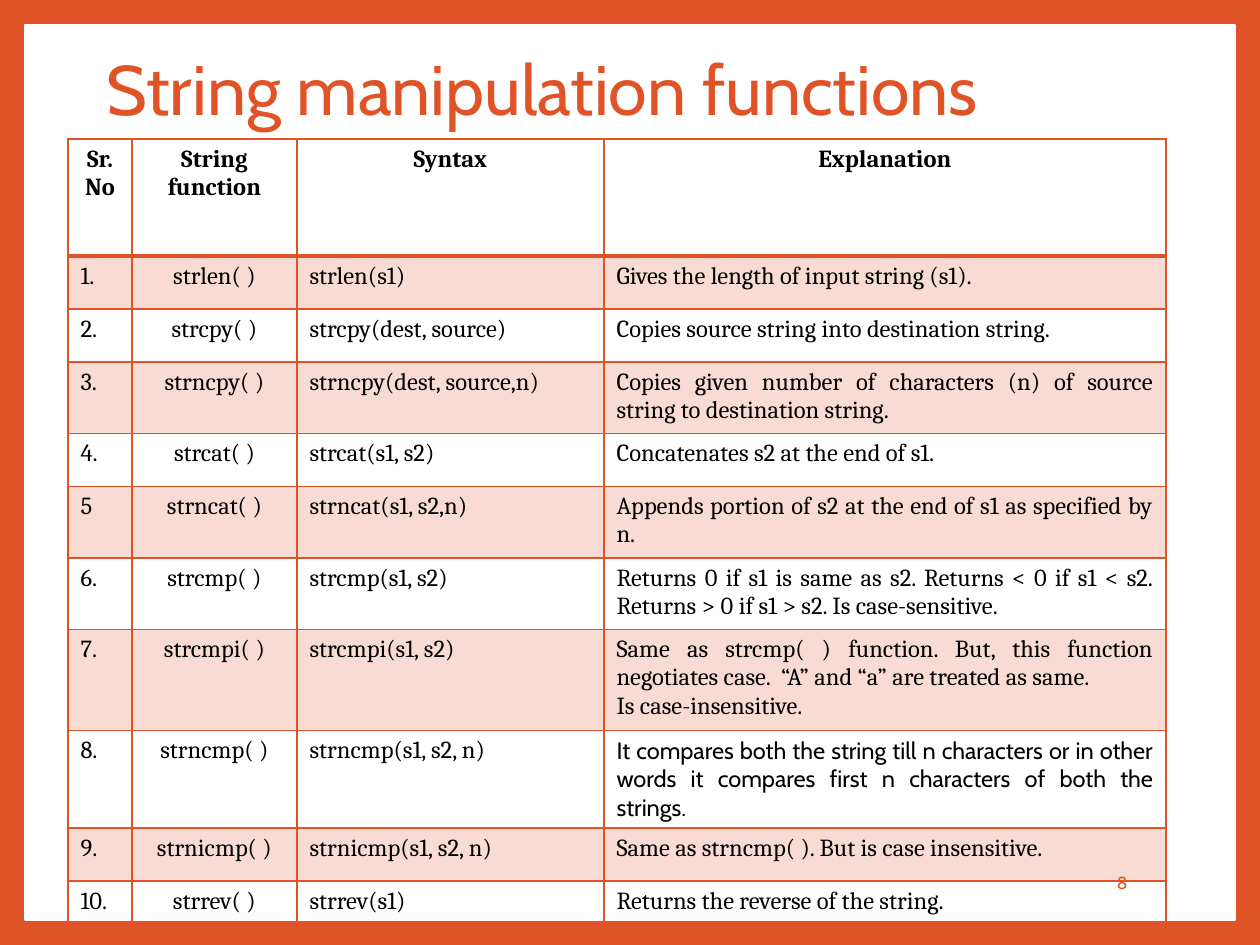
import pptx
import pptx.util
import pptx.dml.color
import pptx.enum.shapes
import pptx.enum.text
import pptx.oxml
from lxml import etree

PX = 914400 // 126
ORANGE = "DF5327"
ALIGN = pptx.enum.text.PP_ALIGN
MIDDLE = pptx.enum.text.MSO_ANCHOR.MIDDLE
A = "http://schemas.openxmlformats.org/drawingml/2006/main"


def rgb(value):
    return pptx.dml.color.RGBColor.from_string(value)


def style(p, size, font, color, align=ALIGN.LEFT, bold=False):
    p.alignment = align
    p.font.size = pptx.util.Pt(size)
    p.font.name = font
    p.font.color.rgb = rgb(color)
    p.font.bold = bold


prs = pptx.Presentation()
prs.slide_width = pptx.util.Inches(10)
prs.slide_height = pptx.util.Inches(7.5)
s = prs.slides.add_slide(prs.slide_layouts[5])
s.background.fill.solid()
s.background.fill.fore_color.rgb = rgb(ORANGE)

# White panel behind everything
panel = s.shapes.add_shape(pptx.enum.shapes.MSO_SHAPE.RECTANGLE,
                           25 * PX, 25 * PX, 1210 * PX, 895 * PX)
panel.shadow.inherit = False
panel.fill.solid()
panel.fill.fore_color.rgb = rgb("FFFFFF")
panel.line.color.rgb = rgb("FFFFFF")
panel.line.width = pptx.util.Pt(1)
s.shapes._spTree.insert(2, panel._element)

# Title
title = s.shapes.title
title.left, title.top, title.width, title.height = 94 * PX, 0, 1071 * PX, 186 * PX
tf = title.text_frame
tf.text = "String manipulation functions"
tf.vertical_anchor = MIDDLE
tf.auto_size = pptx.enum.text.MSO_AUTO_SIZE.NONE
style(tf.paragraphs[0], 40, "Cabin", ORANGE)
tf.paragraphs[0].line_spacing = 0.9

# Slide number
number = s.shapes.add_textbox(964 * PX, 858 * PX, 176 * PX, 50 * PX)
tf = number.text_frame
tf.word_wrap = True
tf.text = "8"
tf.vertical_anchor = MIDDLE
style(tf.paragraphs[0], 10, "Cabin", ORANGE, ALIGN.RIGHT)

# Function table
rows = [
    ("Sr. No", "String function", "Syntax", "Explanation"),
    ("1.", "strlen( )", "strlen(s1)", "Gives the length of input string (s1)."),
    ("2.", "strcpy( )", "strcpy(dest, source)",
     "Copies source string into destination string."),
    ("3.", "strncpy( )", "strncpy(dest, source,n)",
     "Copies given number of characters (n) of source string to destination string."),
    ("4.", "strcat( )", "strcat(s1, s2)", "Concatenates s2 at the end of s1."),
    ("5", "strncat( )", "strncat(s1, s2,n)",
     "Appends portion of s2 at the end of s1 as specified by n."),
    ("6.", "strcmp( )", "strcmp(s1, s2)",
     "Returns 0 if s1 is same as s2. Returns < 0 if s1 < s2. "
     "Returns > 0 if s1 > s2. Is case-sensitive."),
    ("7.", "strcmpi( )", "strcmpi(s1, s2)",
     "Same as strcmp( ) function. But, this function negotiates case.  "
     "“A” and “a” are treated as same.\nIs case-insensitive."),
    ("8.", "strncmp( )", "strncmp(s1, s2, n)",
     "It compares both the string till n characters or in other words "
     "it compares first n characters of both the strings."),
    ("9.", "strnicmp( )", "strnicmp(s1, s2, n)",
     "Same as strncmp( ). But is case insensitive."),
    ("10.", "strrev( )", "strrev(s1)", "Returns the reverse of the string."),
]
widths = [64, 165, 307, 562]
heights = [117] + [53] * 10
heights[5] = 39
aligns = [ALIGN.LEFT, ALIGN.CENTER, ALIGN.LEFT, ALIGN.JUSTIFY]

table = s.shapes.add_table(len(rows), len(widths), 68 * PX, 139 * PX,
                           sum(widths) * PX, sum(heights) * PX).table
for column, width in zip(table.columns, widths):
    column.width = width * PX
for row, height in zip(table.rows, heights):
    row.height = height * PX

for i, texts in enumerate(rows):
    header = i == 0
    for j, text in enumerate(texts):
        cell = table.cell(i, j)
        cell.text = text
        size, font = (13.5, "Cabin") if (i, j) == (8, 3) else (14, "Cambria")
        for p in cell.text_frame.paragraphs:
            style(p, size, font, "000000", ALIGN.CENTER if header else aligns[j], header)
        tcPr = cell._tc.get_or_add_tcPr()
        if i % 2:
            cell.fill.solid()
            cell.fill.fore_color.rgb = rgb(ORANGE)
            color = tcPr.find(f".//{{{A}}}srgbClr")
            etree.SubElement(color, f"{{{A}}}alpha", val="20000")
        else:
            cell.fill.background()
        for k, side in enumerate("LRTB"):
            thick = (i, side) in ((0, "B"), (1, "T"))
            tcPr.insert(k, pptx.oxml.parse_xml(
                f'<a:ln{side} xmlns:a="{A}" w="{25400 if thick else 12700}">'
                f'<a:solidFill><a:srgbClr val="{ORANGE}"/></a:solidFill></a:ln{side}>'))

prs.save("out.pptx")
